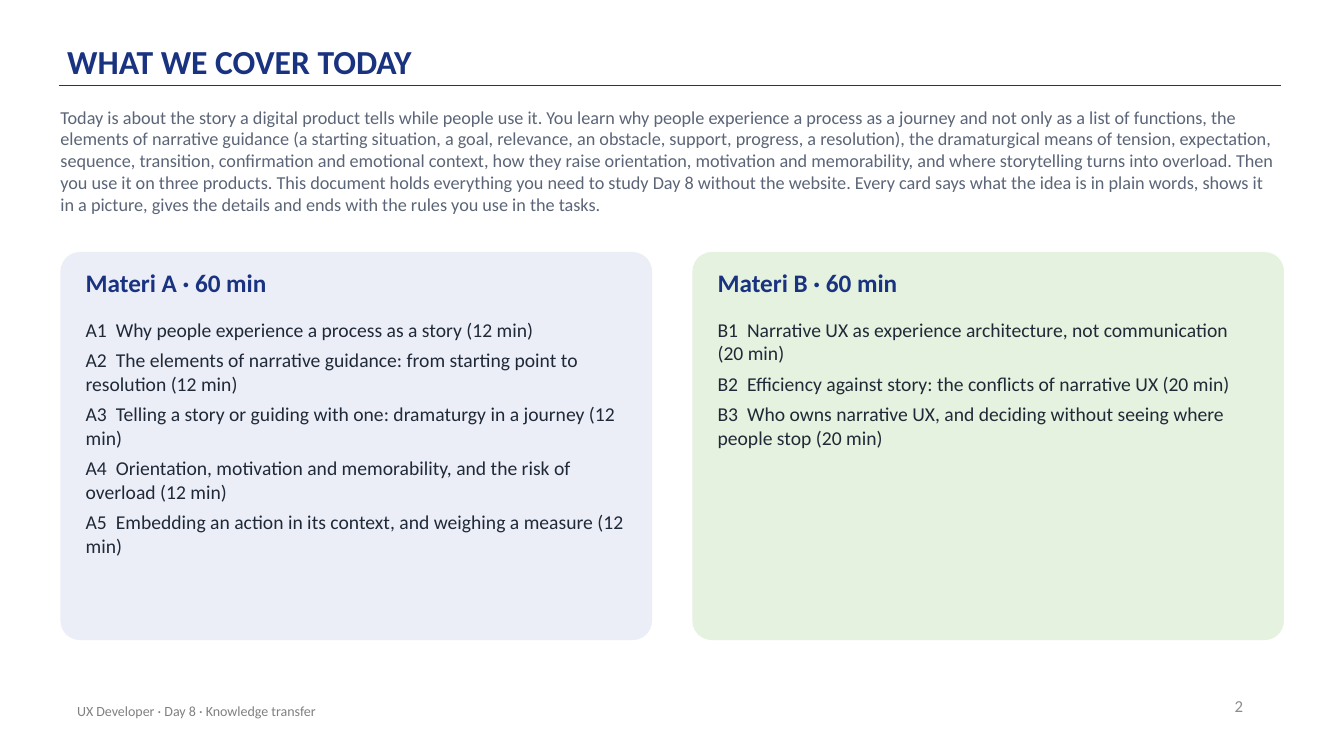
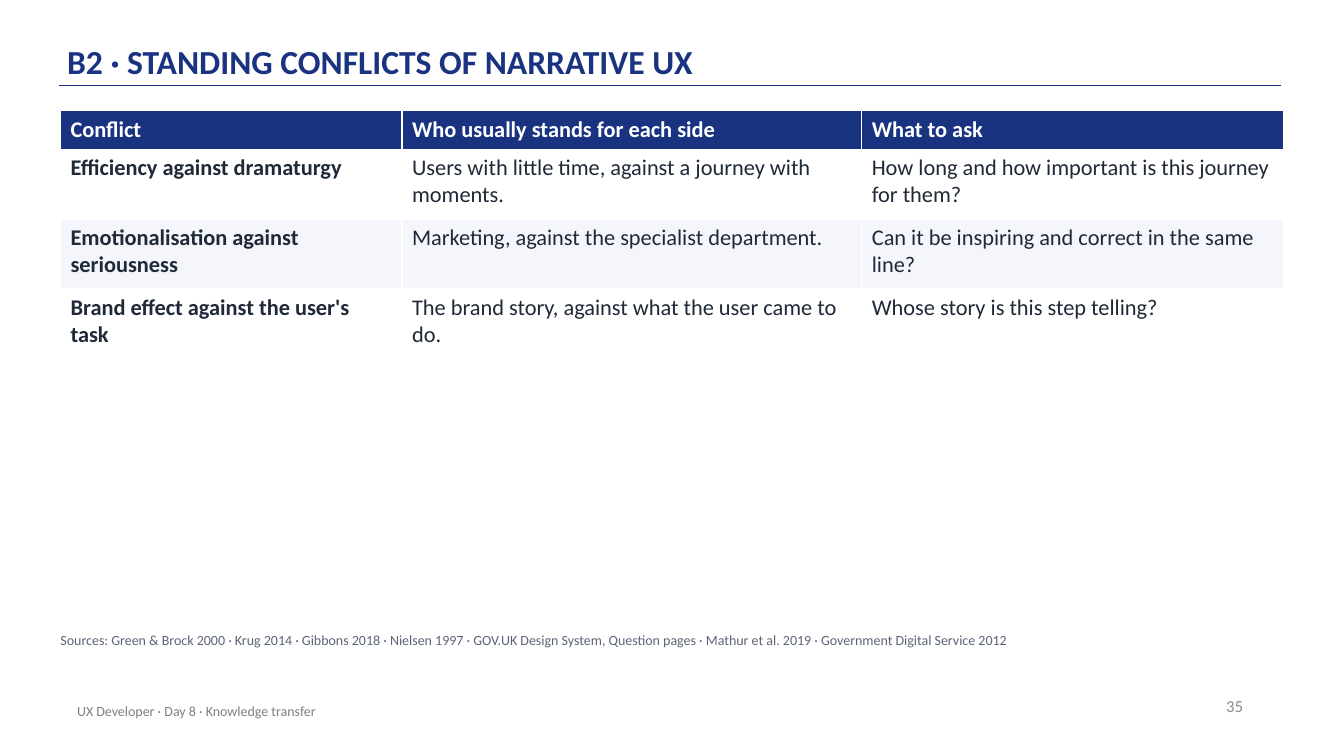
from pptx import Presentation
from pptx.dml.color import RGBColor
from pptx.enum.shapes import MSO_CONNECTOR, MSO_SHAPE
from pptx.enum.text import MSO_ANCHOR, PP_ALIGN
from pptx.oxml.ns import qn
from pptx.util import Pt
from lxml.etree import SubElement

FONT = "Calibri"
NAVY = RGBColor(0x1A, 0x33, 0x81)
INK = RGBColor(0x1F, 0x29, 0x37)
SLATE = RGBColor(0x5B, 0x65, 0x77)
GREY = RGBColor(0x80, 0x80, 0x80)
NUMBER_GREY = RGBColor(0x8C, 0x8C, 0x8C)
WHITE = RGBColor(0xFF, 0xFF, 0xFF)
PALE_ROW = RGBColor(0xF4, 0xF6, 0xFB)
PALE_BLUE = RGBColor(0xEC, 0xEE, 0xF7)
PALE_GREEN = RGBColor(0xE5, 0xF2, 0xDF)

SLIDE_WIDTH, SLIDE_HEIGHT = 960, 540
MARGIN = 43.2
CONTENT_WIDTH = 871.2
FOOTER = "UX Developer · Day 8 · Knowledge transfer"

INTRO = (
    "Today is about the story a digital product tells while people use it. You learn why people "
    "experience a process as a journey and not only as a list of functions, the elements of "
    "narrative guidance (a starting situation, a goal, relevance, an obstacle, support, progress, "
    "a resolution), the dramaturgical means of tension, expectation, sequence, transition, "
    "confirmation and emotional context, how they raise orientation, motivation and memorability, "
    "and where storytelling turns into overload. Then you use it on three products. This document "
    "holds everything you need to study Day 8 without the website. Every card says what the idea "
    "is in plain words, shows it in a picture, gives the details and ends with the rules you use "
    "in the tasks."
)
MODULES = [
    ("Materi A · 60 min", PALE_BLUE, [
        "A1  Why people experience a process as a story (12 min)",
        "A2  The elements of narrative guidance: from starting point to resolution (12 min)",
        "A3  Telling a story or guiding with one: dramaturgy in a journey (12 min)",
        "A4  Orientation, motivation and memorability, and the risk of overload (12 min)",
        "A5  Embedding an action in its context, and weighing a measure (12 min)",
    ]),
    ("Materi B · 60 min", PALE_GREEN, [
        "B1  Narrative UX as experience architecture, not communication (20 min)",
        "B2  Efficiency against story: the conflicts of narrative UX (20 min)",
        "B3  Who owns narrative UX, and deciding without seeing where people stop (20 min)",
    ]),
]
CONFLICTS = [
    ("Conflict", "Who usually stands for each side", "What to ask"),
    ("Efficiency against dramaturgy",
     "Users with little time, against a journey with moments.",
     "How long and how important is this journey for them?"),
    ("Emotionalisation against seriousness",
     "Marketing, against the specialist department.",
     "Can it be inspiring and correct in the same line?"),
    ("Brand effect against the user's task",
     "The brand story, against what the user came to do.",
     "Whose story is this step telling?"),
]
SOURCES = (
    "Sources: Green & Brock 2000 · Krug 2014 · Gibbons 2018 · Nielsen 1997 · GOV.UK Design System, "
    "Question pages · Mathur et al. 2019 · Government Digital Service 2012"
)


def add_run(paragraph, text, size, color, bold=False):
    """Append one styled run to a paragraph."""
    run = paragraph.add_run()
    run.text = text
    run.font.name = FONT
    run.font.size = Pt(size)
    run.font.bold = bold
    run.font.color.rgb = color


def add_text(slide, box, lines, size, color, bold=False, insets=(0, 0),
             anchor=MSO_ANCHOR.TOP, align=PP_ALIGN.LEFT, after=0, spacing=None):
    """Place a wrapped text box with one paragraph per line."""
    frame = slide.shapes.add_textbox(*map(Pt, box)).text_frame
    frame.word_wrap = True
    frame.vertical_anchor = anchor
    frame.margin_left = frame.margin_right = Pt(insets[0])
    frame.margin_top = frame.margin_bottom = Pt(insets[1])
    for index, line in enumerate(lines):
        paragraph = frame.add_paragraph() if index else frame.paragraphs[0]
        paragraph.alignment = align
        paragraph.space_after = Pt(after)
        if spacing:
            paragraph.line_spacing = spacing
        add_run(paragraph, line, size, color, bold)


def add_base(deck, title, number):
    """Add a slide with the shared title, rule and footer."""
    slide = deck.slides.add_slide(deck.slide_layouts[6])
    rule = slide.shapes.add_connector(
        MSO_CONNECTOR.STRAIGHT, Pt(42), Pt(61.2), Pt(915), Pt(61.2))
    rule.line.color.rgb = NAVY
    rule.line.width = Pt(1)
    SubElement(rule.line._get_or_add_ln().getparent(), qn("a:effectLst"))
    add_text(slide, (48, 8.6, 792, 52), [title], 24, NAVY, bold=True,
             insets=(0, 2.2), anchor=MSO_ANCHOR.BOTTOM, spacing=0.9)
    add_text(slide, (679, 489.6, 216, 28.8), [str(number)], 12, NUMBER_GREY,
             insets=(7.2, 3.6), anchor=MSO_ANCHOR.MIDDLE, align=PP_ALIGN.RIGHT)
    add_text(slide, (48, 493.2, 482.4, 28.8), [FOOTER], 10, GREY,
             insets=(7.2, 3.6), anchor=MSO_ANCHOR.MIDDLE)
    return slide


def add_module_card(slide, box, heading, fill, topics):
    """Draw a rounded card with a heading and its topics."""
    left, top, width, height = box
    pad = 18
    card = slide.shapes.add_shape(MSO_SHAPE.ROUNDED_RECTANGLE, *map(Pt, box))
    card.shadow.inherit = False
    card.adjustments[0] = 0.05
    card.fill.solid()
    card.fill.fore_color.rgb = fill
    card.line.fill.background()
    inner = width - 2 * pad
    add_text(slide, (left + pad, top + 10.8, inner, 28.8), [heading], 18, NAVY, bold=True, after=6)
    add_text(slide, (left + pad, top + 46.8, inner, height - 54), topics, 14, INK, after=5)


def add_conflict_table(slide, left, top, rows):
    """Draw the conflict table with a navy header and striped rows."""
    widths = (244, 328.4, 301.4)
    heights = [27.4] + [49.9] * (len(rows) - 1)
    table = slide.shapes.add_table(
        len(rows), len(widths), Pt(left), Pt(top), Pt(sum(widths)), Pt(sum(heights))).table
    for column, width in zip(table.columns, widths):
        column.width = Pt(width)
    for row_index, (row, height, texts) in enumerate(zip(table.rows, heights, rows)):
        row.height = Pt(height)
        header = row_index == 0
        fill = NAVY if header else (PALE_ROW if row_index % 2 == 0 else WHITE)
        for column_index, (cell, text) in enumerate(zip(row.cells, texts)):
            cell.fill.solid()
            cell.fill.fore_color.rgb = fill
            add_run(cell.text_frame.paragraphs[0], text, 16, WHITE if header else INK,
                    bold=header or column_index == 0)


def add_overview_slide(deck):
    """Build the overview of the day's two modules."""
    slide = add_base(deck, "WHAT WE COVER TODAY", 2)
    add_text(slide, (MARGIN, 75.6, CONTENT_WIDTH, 86.4), [INTRO], 13, SLATE, after=6)
    width, gap = 422.6, 28.8
    for index, module in enumerate(MODULES):
        add_module_card(slide, (MARGIN + index * (width + gap), 180, width, 277.2), *module)


def add_conflicts_slide(deck):
    """Build the slide comparing the standing conflicts."""
    slide = add_base(deck, "B2 · STANDING CONFLICTS OF NARRATIVE UX", 35)
    add_conflict_table(slide, MARGIN, 79.2, CONFLICTS)
    add_text(slide, (MARGIN, 451.4, CONTENT_WIDTH, 21.6), [SOURCES], 10, SLATE, after=6)


def main():
    """Create and save the presentation."""
    deck = Presentation()
    deck.slide_width = Pt(SLIDE_WIDTH)
    deck.slide_height = Pt(SLIDE_HEIGHT)
    add_overview_slide(deck)
    add_conflicts_slide(deck)
    deck.save("out.pptx")


if __name__ == "__main__":
    main()
